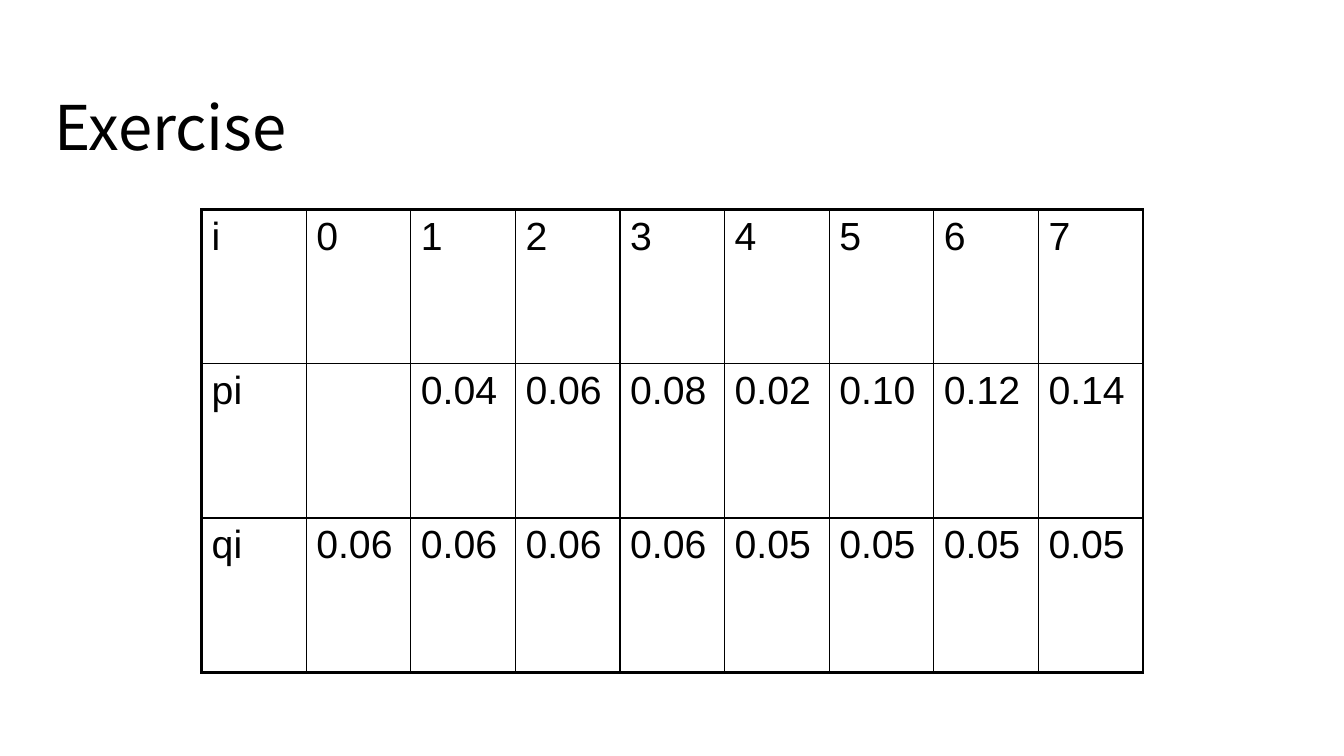
from dataclasses import dataclass

from lxml import etree
from pptx import Presentation
from pptx.dml.color import RGBColor
from pptx.enum import text
from pptx.oxml import ns
from pptx.util import Inches, Pt


@dataclass
class Theme:
    ink = "000000"
    head = dict(name="Noto Sans CJK SC", size=Pt(44))
    body = dict(name="Arial", size=Pt(28))
    thin = Pt(1)
    thick = Pt(2.25)


def style(font, form):
    for key, val in form.items():
        setattr(font, key, val)
    font.color.rgb = RGBColor.from_string(Theme.ink)


def border(cell, side, width):
    props = cell._tc.get_or_add_tcPr()
    line = etree.SubElement(props, ns.qn(f"a:ln{side}"), w=str(width))
    fill = etree.SubElement(line, ns.qn("a:solidFill"))
    etree.SubElement(fill, ns.qn("a:srgbClr"), val=Theme.ink)


deck = Presentation()
deck.slide_width, deck.slide_height = Inches(13.33), Inches(7.5)
slide = deck.slides.add_slide(deck.slide_layouts[5])

title = slide.shapes.title
title.left, title.top = Inches(0.44), Inches(0.67)
title.width, title.height = Inches(12.45), Inches(1.25)
title.text_frame.text = "Exercise"
title.text_frame.vertical_anchor = text.MSO_ANCHOR.MIDDLE
para = title.text_frame.paragraphs[0]
para.alignment = text.PP_ALIGN.LEFT
para.line_spacing = 0.9
style(para.runs[0].font, Theme.head)

rows = [
    ["i", "0", "1", "2", "3", "4", "5", "6", "7"],
    ["pi", "", "0.04", "0.06", "0.08", "0.02", "0.10", "0.12", "0.14"],
    ["qi", "0.06", "0.06", "0.06", "0.06", "0.05", "0.05", "0.05", "0.05"],
]
last_row, last_col = len(rows) - 1, len(rows[0]) - 1
table = slide.shapes.add_table(
    len(rows), len(rows[0]), Inches(2), Inches(2.08), Inches(9.34), Inches(4.59)
).table
table.first_row = table.horz_banding = False

for r, row in enumerate(rows):
    for c, value in enumerate(row):
        cell = table.cell(r, c)
        outer = {"L": c == 0, "R": c == last_col, "T": r == 0, "B": r == last_row}
        for side, edge in outer.items():
            border(cell, side, Theme.thick if edge else Theme.thin)
        cell.fill.background()
        para = cell.text_frame.paragraphs[0]
        space = etree.SubElement(para._p.get_or_add_pPr(), ns.qn("a:spcBef"))
        etree.SubElement(space, ns.qn("a:spcPct"), val="20000")
        if value:
            run = para.add_run()
            run.text = value
            style(run.font, Theme.body)

deck.save("out.pptx")
